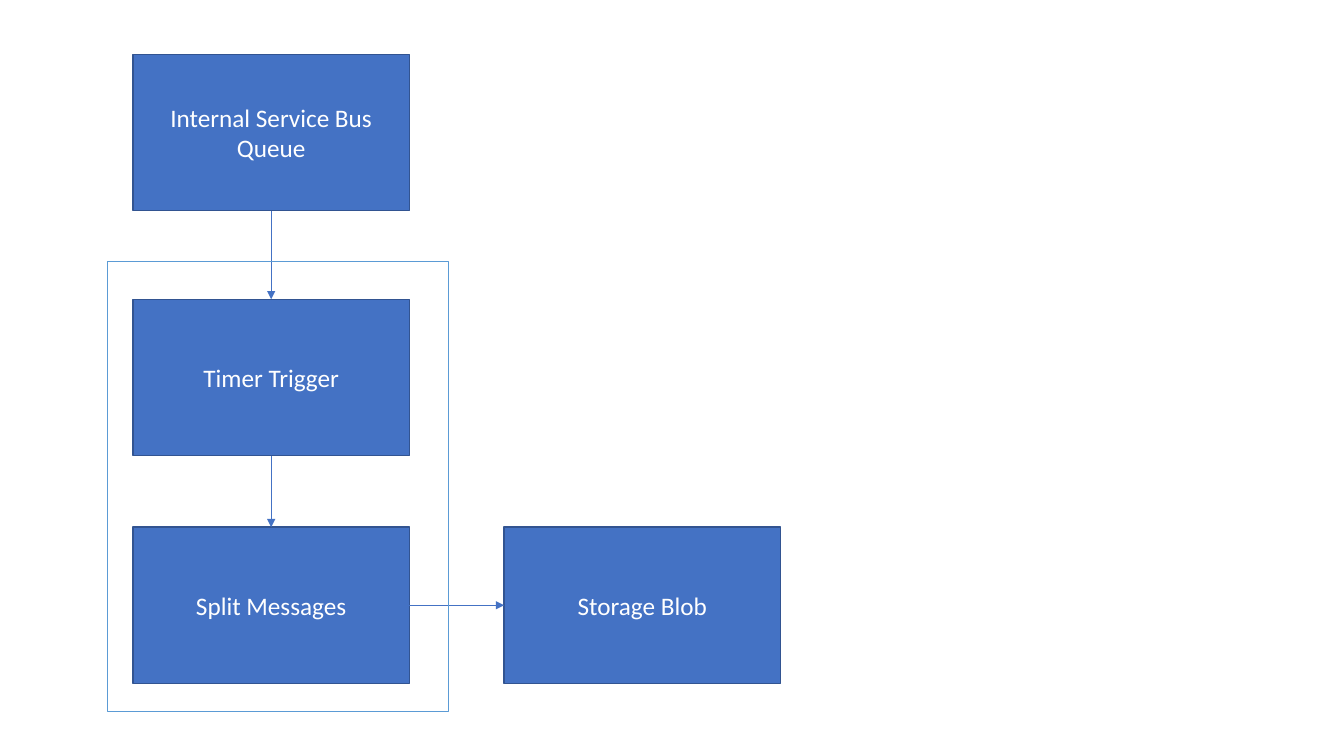
import pptx
import pptx.dml.color
import pptx.enum.shapes
import pptx.enum.text
import pptx.oxml
import pptx.oxml.ns
import pptx.util

Inches = pptx.util.Inches
Pt = pptx.util.Pt
RECTANGLE = pptx.enum.shapes.MSO_SHAPE.RECTANGLE
STRAIGHT = pptx.enum.shapes.MSO_CONNECTOR.STRAIGHT
BOTTOM, RIGHT, TOP, LEFT = 2, 3, 0, 1


def color(value):
    return pptx.dml.color.RGBColor.from_string(value)


def write(shape, text, *, font, size, fill):
    frame = shape.text_frame
    frame.word_wrap = True
    frame.vertical_anchor = pptx.enum.text.MSO_ANCHOR.MIDDLE
    para = frame.paragraphs[0]
    para.alignment = pptx.enum.text.PP_ALIGN.CENTER
    span = para.add_run()
    span.text = text
    span.font.name = font
    span.font.size = Pt(size)
    span.font.color.rgb = color(fill)


class Diagram:
    blue = "4472C4"
    border = "325491"
    outline = "5B9BD5"
    white = "FFFFFF"
    font = "Calibri"
    text_size = 18
    box_width = 2.74
    box_height = 1.55

    def __init__(self, page):
        self.page = page

    def rectangle(self, left, top, width, height, line, weight):
        shape = self.page.shapes.add_shape(
            RECTANGLE, Inches(left), Inches(top), Inches(width), Inches(height))
        shape.shadow.inherit = False
        shape.line.color.rgb = color(line)
        shape.line.width = Pt(weight)
        return shape

    def step(self, text, left, top):
        box = self.rectangle(left, top, self.box_width, self.box_height, self.border, 1)
        box.fill.solid()
        box.fill.fore_color.rgb = color(self.blue)
        write(box, text, font=self.font, size=self.text_size, fill=self.white)
        return box

    def group_frame(self, left, top, width, height):
        self.rectangle(left, top, width, height, self.outline, 0.75).fill.background()

    def arrow(self, source, source_side, target, target_side):
        link = self.page.shapes.add_connector(STRAIGHT, 0, 0, 0, 0)
        link.begin_connect(source, source_side)
        link.end_connect(target, target_side)
        link.line.color.rgb = color(self.blue)
        link.line.width = Pt(0.5)
        namespace = pptx.oxml.ns.nsdecls("a")
        link.line._get_or_add_ln().append(
            pptx.oxml.parse_xml(f'<a:tailEnd {namespace} type="triangle"/>'))
        link._element.spPr.append(pptx.oxml.parse_xml(f"<a:effectLst {namespace}/>"))


deck = pptx.Presentation()
deck.slide_width = Inches(13.33)
deck.slide_height = Inches(7.5)
diagram = Diagram(deck.slides.add_slide(deck.slide_layouts[6]))

main_left, blob_left, bottom_row = 1.32, 5, 5.23
queue = diagram.step("Internal Service Bus Queue", main_left, 0.54)
timer = diagram.step("Timer Trigger", main_left, 2.97)
split = diagram.step("Split Messages", main_left, bottom_row)
blob = diagram.step("Storage Blob", blob_left, bottom_row)

diagram.arrow(queue, BOTTOM, timer, TOP)
diagram.arrow(timer, BOTTOM, split, TOP)
diagram.arrow(split, RIGHT, blob, LEFT)
diagram.group_frame(1.07, 2.59, 3.38, 4.47)

deck.save("out.pptx")
